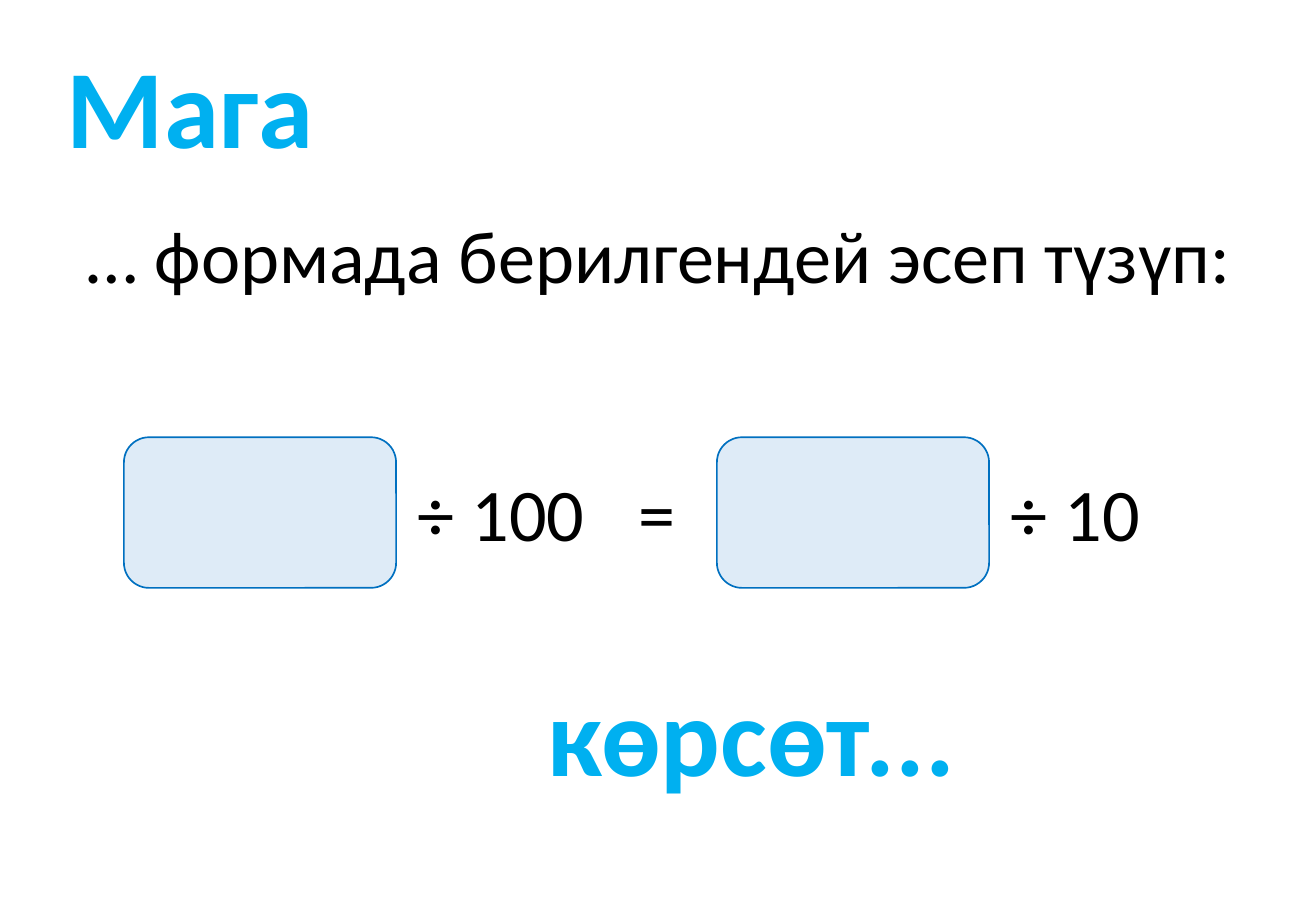
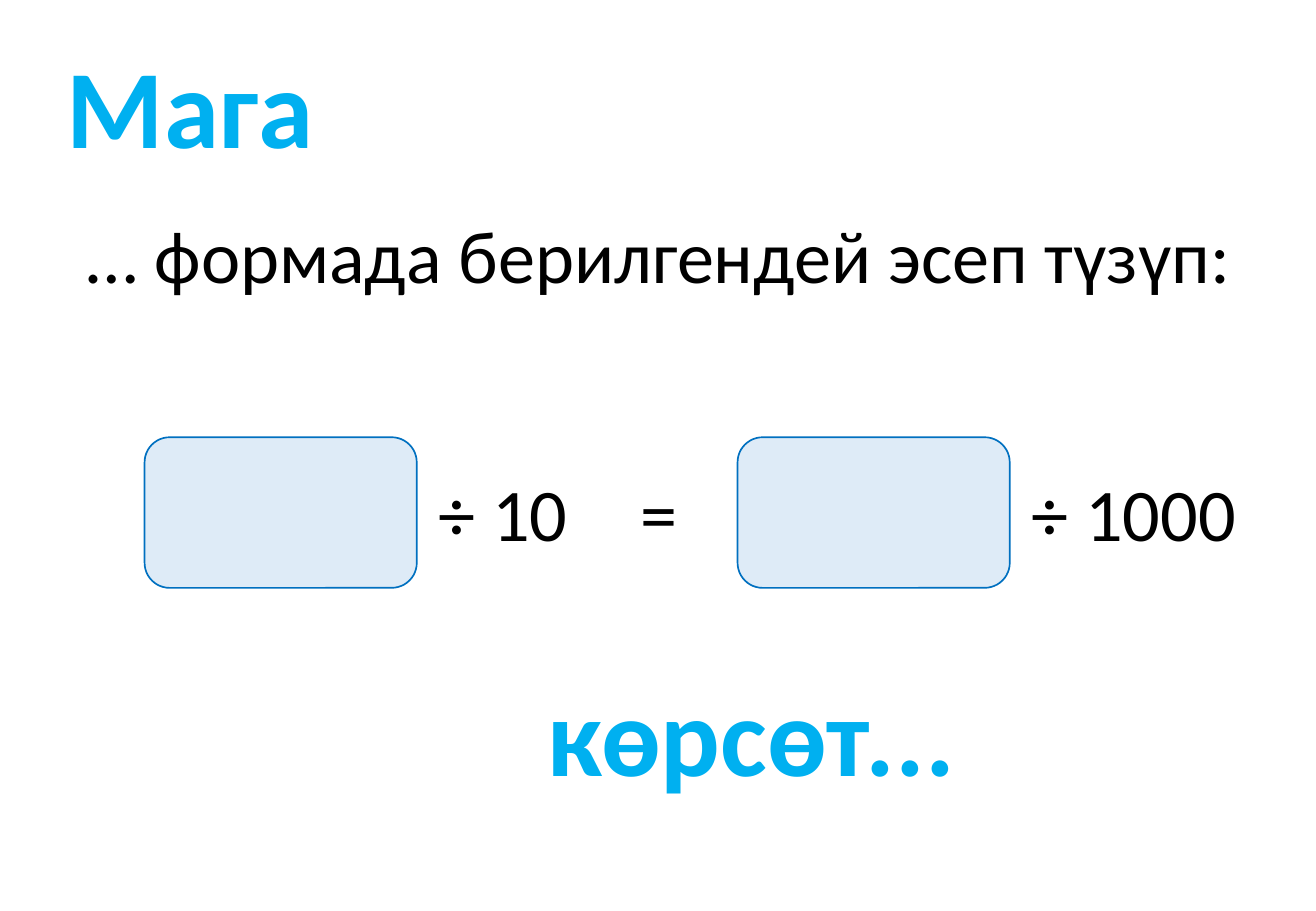
from pptx import Presentation
from pptx.dml.color import RGBColor
from pptx.enum.shapes import MSO_SHAPE
from pptx.enum.text import MSO_ANCHOR, MSO_AUTO_SIZE, PP_ALIGN
from pptx.util import Inches, Pt

FONT = "Calibri"
BLACK, ACCENT, PALE, BORDER = "000000", "00B0F0", "DEEBF7", "0070C0"
CARD_TOP, CARD_WIDTH, CARD_HEIGHT = 3.6, 2.24, 1.24
TERM_STEP = 4.88
TEXT_TOP, TEXT_HEIGHT = 3.79, 0.84
HEADING_WIDTH, HEADING_HEIGHT, HEADING_INSET = 7.54, 1.21, 0.31


def color(code):
    """Turn a hex string into a colour."""
    return RGBColor.from_string(code)


def write(box, text, size, code, bold=False, align=PP_ALIGN.LEFT):
    """Fill a box with one formatted line of text."""
    box.text_frame.text = text
    para = box.text_frame.paragraphs[0]
    para.alignment = align
    font = para.runs[0].font
    font.name, font.size, font.bold = FONT, Pt(size), bold
    font.color.rgb = color(code)


def add_line(shapes, text, left, top, width, align=PP_ALIGN.LEFT):
    """Add an unwrapped line of black text."""
    box = shapes.add_textbox(Inches(left), Inches(top), Inches(width), Inches(TEXT_HEIGHT))
    write(box, text, 44, BLACK, align=align)
    frame = box.text_frame
    frame.word_wrap = False
    frame.vertical_anchor = MSO_ANCHOR.MIDDLE
    frame.auto_size = MSO_AUTO_SIZE.SHAPE_TO_FIT_TEXT


def style_heading(box, text):
    """Format a box as a large accent heading."""
    write(box, text, 66, ACCENT, bold=True)
    frame = box.text_frame
    frame.word_wrap = True
    frame.vertical_anchor = MSO_ANCHOR.TOP
    frame.auto_size = MSO_AUTO_SIZE.SHAPE_TO_FIT_TEXT
    frame.margin_left = Inches(HEADING_INSET)


def add_term(page, left, divisor):
    """Add an empty answer card grouped with its divisor."""
    shapes = page.shapes.add_group_shape().shapes
    card = shapes.add_shape(MSO_SHAPE.ROUNDED_RECTANGLE, Inches(left), Inches(CARD_TOP),
                            Inches(CARD_WIDTH), Inches(CARD_HEIGHT))
    card.shadow.inherit = False
    card.fill.solid()
    card.fill.fore_color.rgb = color(PALE)
    card.line.color.rgb = color(BORDER)
    card.line.width = Pt(1)
    width = 0.63 + 0.32 * len(str(divisor))
    add_line(shapes, f"÷ {divisor}", left + CARD_WIDTH + 0.08, TEXT_TOP, width)


def add_task(deck, left, divisors, equals_left):
    """Add one slide with a division equation to complete."""
    page = deck.slides.add_slide(deck.slide_layouts[5])
    title = page.shapes.title
    title.left, title.top = Inches(0.24), Inches(0.26)
    title.width, title.height = Inches(HEADING_WIDTH), Inches(HEADING_HEIGHT)
    style_heading(title, "Мага")
    add_line(page.shapes, "… формада берилгендей эсеп түзүп:", 0.57, 1.67, 9.71, PP_ALIGN.CENTER)
    for index, divisor in enumerate(divisors):
        add_term(page, left + index * TERM_STEP, divisor)
    add_line(page.shapes, "=", equals_left, TEXT_TOP, 0.51, PP_ALIGN.CENTER)
    closing = page.shapes.add_textbox(Inches(4.2), Inches(5.43),
                                      Inches(HEADING_WIDTH), Inches(HEADING_HEIGHT))
    style_heading(closing, "көрсөт...")


def main():
    """Build and save the deck."""
    deck = Presentation()
    deck.slide_width, deck.slide_height = Inches(10.83), Inches(7.5)
    add_task(deck, 1.02, (100, 10), 5.15)
    add_task(deck, 1.19, (10, 1000), 5.17)
    deck.save("out.pptx")


if __name__ == "__main__":
    main()
